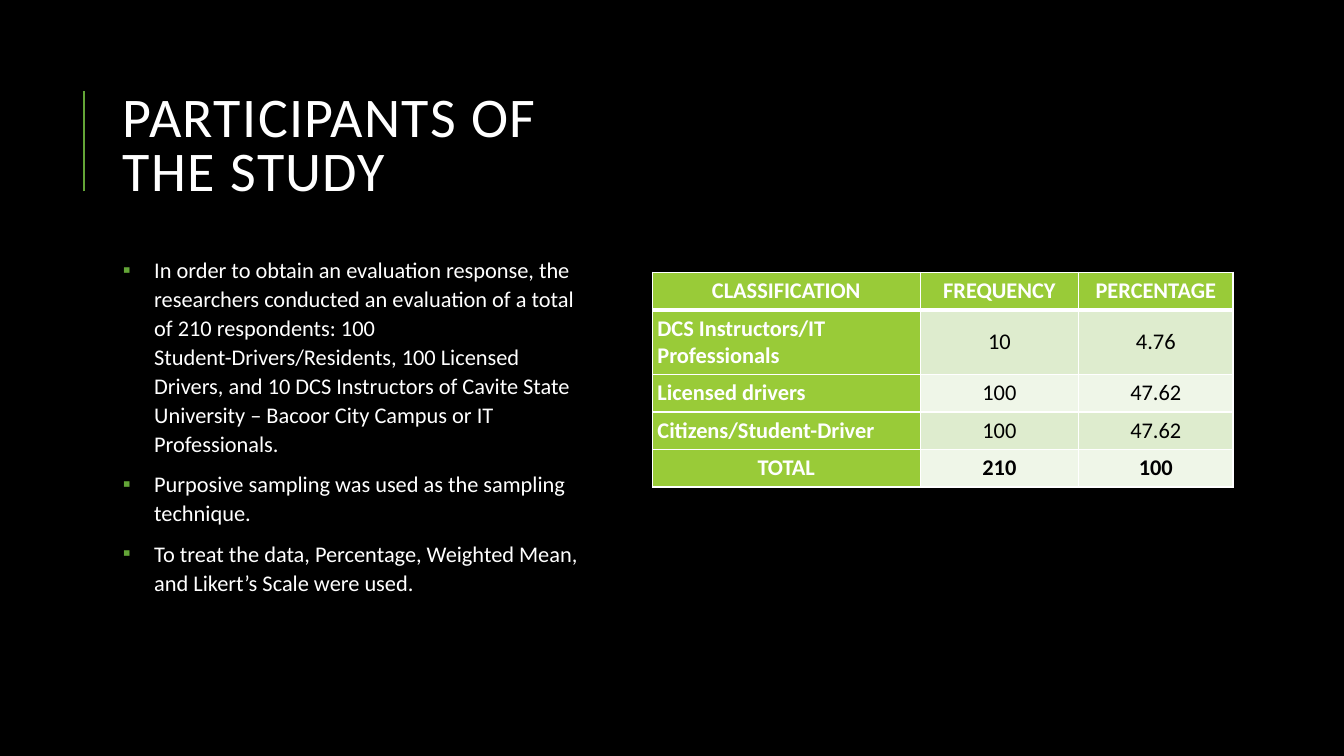
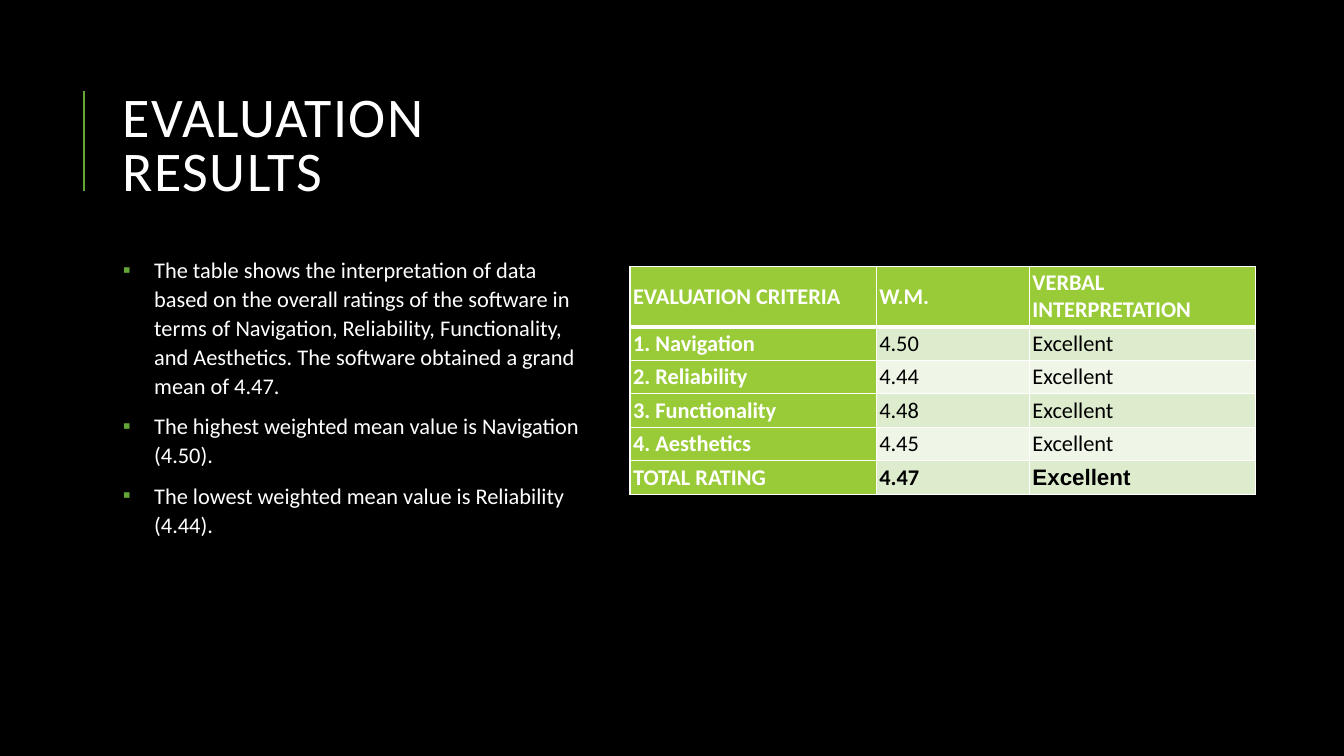
from lxml.etree import SubElement
from pptx import Presentation
from pptx.dml.color import RGBColor
from pptx.enum.shapes import MSO_CONNECTOR as Connector
from pptx.enum.text import MSO_ANCHOR as Anchor, MSO_AUTO_SIZE as AutoSize, PP_ALIGN as Align
from pptx.oxml.ns import qn
from pptx.util import Inches, Pt

WIDTH, HEIGHT = Inches(13.33), Inches(7.5)
COLORS = {
    "background": "000000",
    "light": "FFFFFF",
    "dark": "000000",
    "accent": "63A537",
    "header": "99CB38",
    "odd_row": "DEECCE",
    "even_row": "EFF6E8",
}
TITLE_AREA = (8.4, 6.93, 36, 25.33)
BODY_AREA = (8.4, 32.93, 36, 54.8)
ACCENT_LINE = (6.25, 25.33, 6.25, 12)
BULLET_INDENT = Inches(0.31)
TITLE_FORMAT = {"size": Pt(40), "name": "Calibri"}
TEXT_FORMAT = {"size": Pt(16), "name": "Calibri"}
BODY_SPACING = {"line_spacing": 1.08, "space_before": Pt(6), "space_after": Pt(2)}

PARTICIPANTS = {
    "title": "PARTICIPANTS OF THE STUDY",
    "points": [
        "In order to obtain an evaluation response, the researchers conducted an "
        "evaluation of a total of 210 respondents: 100 Student-Drivers/Residents, "
        "100 Licensed Drivers, and 10 DCS Instructors of Cavite State University – "
        "Bacoor City Campus or IT Professionals.",
        "Purposive sampling was used as the sampling technique.",
        "To treat the data, Percentage, Weighted Mean, and Likert’s Scale were used.",
    ],
    "table": {
        "corner": (48.54, 36),
        "columns": (19.92, 11.8, 11.48),
        "rows": (4.96, 8.53, 4.96, 4.96, 4.96),
        "inset": Inches(0.05),
        "align": Align.CENTER,
        "total_font": "Calibri",
        "cells": [
            ("CLASSIFICATION", "FREQUENCY", "PERCENTAGE"),
            ("DCS Instructors/IT Professionals", "10", "4.76"),
            ("Licensed drivers", "100", "47.62"),
            ("Citizens/Student-Driver", "100", "47.62"),
            ("TOTAL", "210", "100"),
        ],
    },
}
RESULTS = {
    "title": "EVALUATION RESULTS",
    "points": [
        "The table shows the interpretation of data based on the overall ratings of "
        "the software in terms of Navigation, Reliability, Functionality, and "
        "Aesthetics. The software obtained a grand mean of 4.47.",
        "The highest weighted mean value is Navigation (4.50).",
        "The lowest weighted mean value is Reliability (4.44).",
    ],
    "table": {
        "corner": (46.88, 35.2),
        "columns": (18.32, 11.4, 16.8),
        "rows": (8, 4.41, 4.41, 4.41, 4.41, 4.41),
        "inset": Inches(0.03),
        "align": Align.JUSTIFY,
        "total_font": "Arial",
        "cells": [
            ("EVALUATION CRITERIA", "W.M.", "VERBAL INTERPRETATION"),
            ("1. Navigation", "4.50", "Excellent"),
            ("2. Reliability", "4.44", "Excellent"),
            ("3. Functionality", "4.48", "Excellent"),
            ("4. Aesthetics", "4.45", "Excellent"),
            ("TOTAL RATING", "4.47", "Excellent"),
        ],
    },
}


def across(percent):
    return round(WIDTH * percent / 100)


def down(percent):
    return round(HEIGHT * percent / 100)


def rgb(name):
    return RGBColor.from_string(COLORS[name])


def apply(target, values):
    for name, value in values.items():
        setattr(target, name, value)


def add_span(para, text, color, values):
    span = para.add_run()
    span.text = text
    span.font.color.rgb = rgb(color)
    apply(span.font, values)
    return span


def place(box, area, anchor):
    left, top, width, height = area
    apply(box, {"left": across(left), "top": down(top),
                "width": across(width), "height": down(height)})
    apply(box.text_frame, {"word_wrap": True, "auto_size": AutoSize.NONE,
                           "vertical_anchor": anchor})


def add_title(page, text):
    box = page.shapes.title
    place(box, TITLE_AREA, Anchor.MIDDLE)
    para = box.text_frame.paragraphs[0]
    apply(para, {"alignment": Align.LEFT, "line_spacing": 0.8})
    span = add_span(para, text, "light", TITLE_FORMAT)
    span.font._element.set("spc", "100")


def add_bullet(para):
    properties = para._p.get_or_add_pPr()
    properties.set("marL", str(BULLET_INDENT))
    properties.set("indent", str(-BULLET_INDENT))
    color = SubElement(properties, qn("a:buClr"))
    SubElement(color, qn("a:srgbClr"), val=COLORS["accent"])
    SubElement(properties, qn("a:buFont"), typeface="Arial")
    SubElement(properties, qn("a:buChar"), char="▪")


def add_points(page, points):
    box = page.placeholders[1]
    place(box, BODY_AREA, Anchor.TOP)
    frame = box.text_frame
    for index, point in enumerate(points):
        para = frame.add_paragraph() if index else frame.paragraphs[0]
        apply(para, {"alignment": Align.LEFT, **BODY_SPACING})
        add_bullet(para)
        add_span(para, point, "light", TEXT_FORMAT)


def add_accent_line(page):
    x1, y1, x2, y2 = ACCENT_LINE
    line = page.shapes.add_connector(
        Connector.STRAIGHT, across(x1), down(y1), across(x2), down(y2))
    line.line.color.rgb = rgb("accent")
    line.line.width = Pt(1.5)
    SubElement(line._element.spPr, qn("a:effectLst"))


def add_borders(cell, row):
    thick_side = {0: "lnB", 1: "lnT"}.get(row)
    properties = cell._tc.get_or_add_tcPr()
    for side in ("lnL", "lnR", "lnT", "lnB"):
        width = Pt(3 if side == thick_side else 1)
        border = SubElement(properties, qn(f"a:{side}"), w=str(width))
        fill = SubElement(border, qn("a:solidFill"))
        SubElement(fill, qn("a:srgbClr"), val=COLORS["light"])


def fill_cell(cell, text, row, column, layout):
    last_row = len(layout["rows"]) - 1
    heading = row == 0 or column == 0
    label = column == 0 and 0 < row < last_row
    last_cell = row == last_row and column == len(layout["columns"]) - 1
    add_borders(cell, row)
    sides = ("left", "right", "top", "bottom")
    apply(cell, {f"margin_{side}": layout["inset"] for side in sides})
    cell.vertical_anchor = Anchor.MIDDLE
    cell.fill.solid()
    band = "odd_row" if row % 2 else "even_row"
    cell.fill.fore_color.rgb = rgb("header" if heading else band)
    para = cell.text_frame.paragraphs[0]
    para.alignment = Align.LEFT if label else layout["align"]
    values = {**TEXT_FORMAT, "bold": heading or row == last_row}
    if last_cell:
        values["name"] = layout["total_font"]
    add_span(para, text, "light" if heading else "dark", values)


def add_data_table(page, layout):
    left, top = layout["corner"]
    columns, rows = layout["columns"], layout["rows"]
    table = page.shapes.add_table(
        len(rows), len(columns), across(left), down(top),
        across(sum(columns)), down(sum(rows))).table
    for column, width in zip(table.columns, columns):
        column.width = across(width)
    for row, height in zip(table.rows, rows):
        row.height = down(height)
    for row, texts in enumerate(layout["cells"]):
        for column, text in enumerate(texts):
            fill_cell(table.cell(row, column), text, row, column, layout)


def add_page(deck, content):
    page = deck.slides.add_slide(deck.slide_layouts[1])
    add_accent_line(page)
    add_title(page, content["title"])
    add_points(page, content["points"])
    add_data_table(page, content["table"])


def main():
    deck = Presentation()
    apply(deck, {"slide_width": WIDTH, "slide_height": HEIGHT})
    background = deck.slide_master.background.fill
    background.solid()
    background.fore_color.rgb = rgb("background")
    for content in (PARTICIPANTS, RESULTS):
        add_page(deck, content)
    deck.save("out.pptx")


if __name__ == "__main__":
    main()
